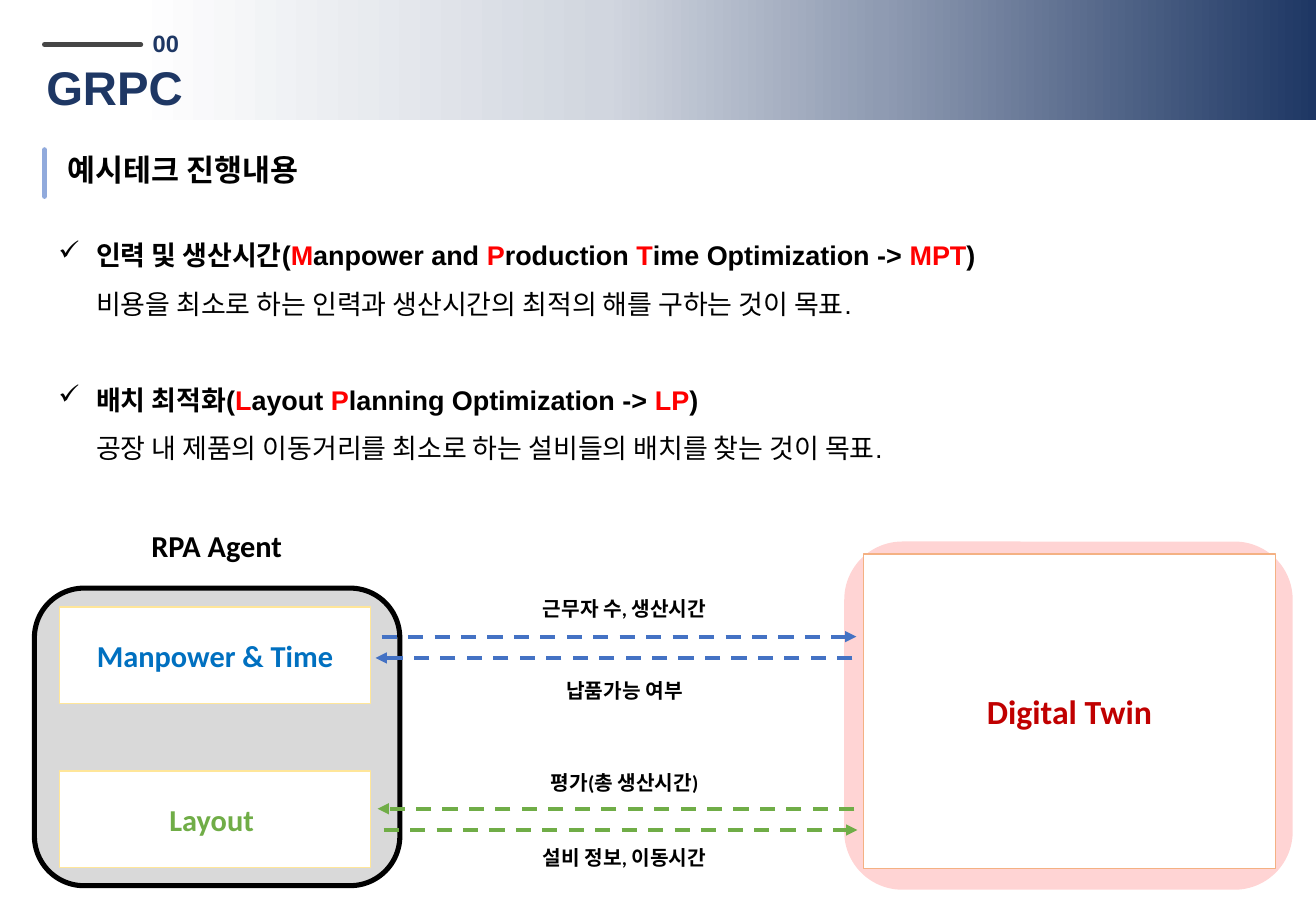
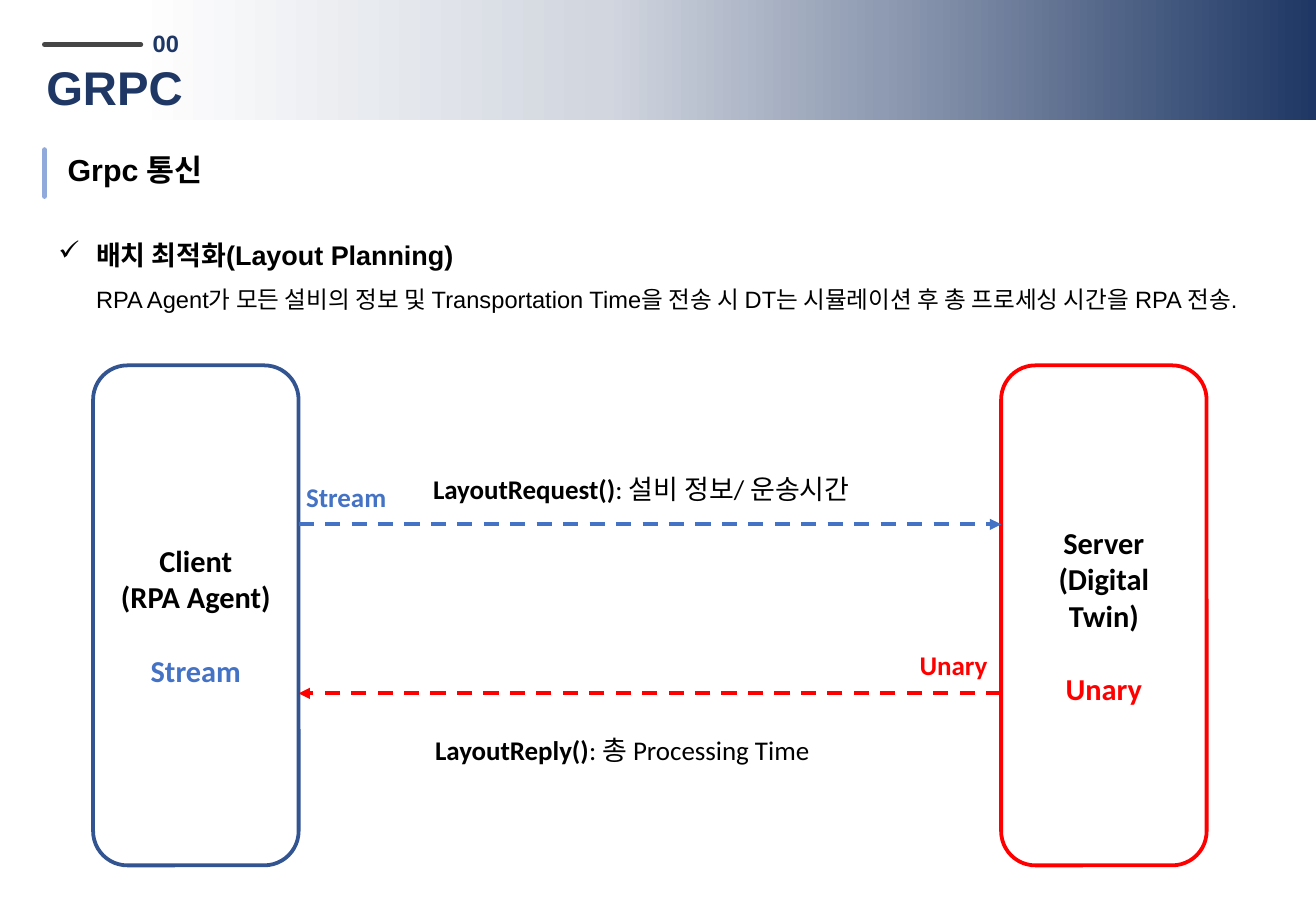
from lxml.etree import SubElement
from pptx import Presentation
from pptx.dml.color import RGBColor
from pptx.enum.dml import MSO_LINE_DASH_STYLE as Dash
from pptx.enum.shapes import MSO_AUTO_SHAPE_TYPE as Form, MSO_CONNECTOR_TYPE as Link
from pptx.enum.text import MSO_ANCHOR as Anchor, MSO_AUTO_SIZE as Fit, PP_ALIGN as Align
from pptx.oxml.ns import qn
from pptx.util import Inches, Pt

COLUMNS, ROWS = 130, 90
BLACK, WHITE, RED = "000000", "FFFFFF", "FF0000"
NAVY, BLUE, GREEN = "1E3764", "4472C4", "70AD47"
BAND_STOPS = [(0, NAVY), (33, "8F9BB2"), (54, "D1D6DF"), (90, WHITE)]


def rgb(code):
    return RGBColor.from_string(code)


class Board:
    """Holds the deck, its style and the current slide; lengths are grid cells."""

    def __init__(self):
        self.deck = Presentation()
        self.deck.slide_width, self.deck.slide_height = Inches(10.83), Inches(7.5)
        self.page = None

    def cells(self, x, y, *more):
        """Turn alternating columns and rows into slide lengths."""
        column, row = self.deck.slide_width / COLUMNS, self.deck.slide_height / ROWS
        return [round(n * (row if i % 2 else column)) for i, n in enumerate((x, y, *more))]

    def start(self, heading):
        """Add a slide with the shared band, title and heading."""
        self.page = self.deck.slides.add_slide(self.deck.slide_layouts[6])
        self.band()
        self.line((4.4, 4.4, 13.9, 4.4), "464646", 3)
        self.line((4.4, 14.8, 4.4, 19.4), "91AADC", 3)
        self.text((5.5, 14.3, 124.5, 4.8), heading, name="Arial", size=18)
        self.text((13.9, 2.3, 95, 4.1), "00", name="Arial", size=14, color=NAVY)
        self.text((3.4, 5.2, 105.7, 6.8), "GRPC", name="Arial", size=28, color=NAVY)

    def band(self):
        box = self.shape((0, 0, COLUMNS, 11.9))
        box.fill.gradient()
        box.fill.gradient_angle = 180
        stops = box._element.spPr.find(".//" + qn("a:gsLst"))
        for stop in list(stops):
            stops.remove(stop)
        for place, color in BAND_STOPS:
            stop = SubElement(stops, qn("a:gs"), pos=str(place * 1000))
            SubElement(stop, qn("a:srgbClr"), val=color)

    def add_spans(self, para, spans, **style):
        """Add runs; spans is a string or a list of (text, style changes)."""
        if isinstance(spans, str):
            spans = [(spans, {})]
        for words, changes in spans:
            look = {"name": "Calibri", "size": 18, "bold": True, "color": BLACK,
                    **style, **changes}
            span = para.add_run()
            span.text = words
            span.font.color.rgb = rgb(look.pop("color"))
            look["size"] = Pt(look["size"])
            for key, value in look.items():
                setattr(span.font, key, value)

    def text(self, area, spans=None, align=Align.LEFT, **style):
        box = self.page.shapes.add_textbox(*self.cells(*area))
        frame = box.text_frame
        frame.word_wrap, frame.auto_size = True, Fit.SHAPE_TO_FIT_TEXT
        if spans:
            frame.paragraphs[0].alignment = align
            self.add_spans(frame.paragraphs[0], spans, **style)
        return frame

    def topics(self, area, items, size=16):
        """Ticked topics (title, detail); odd parts of a title split at | are red."""
        frame = self.text(area)
        for index, (title, detail) in enumerate(items):
            para = frame.add_paragraph() if index else frame.paragraphs[0]
            para.line_spacing = 1.5
            para.space_before = Pt(28 if index else 0)
            spans = [(part, {"color": RED if i % 2 else BLACK})
                     for i, part in enumerate(title.split("|"))]
            self.add_spans(para, spans, name="Arial", size=16)
            para.add_line_break()
            self.add_spans(para, detail, name="Arial", size=size, bold=False)
            props = para._p.get_or_add_pPr()
            props.set("marL", str(Inches(0.31)))
            props.set("indent", str(-Inches(0.31)))
            SubElement(props, qn("a:buChar"), char="✓")

    def shape(self, area, form=Form.RECTANGLE, fill=None, line=None, width=1, alpha=None):
        box = self.page.shapes.add_shape(form, *self.cells(*area))
        box.shadow.inherit = False
        for part, color in ((box.fill, fill), (box.line.fill, line)):
            if color:
                part.solid()
                part.fore_color.rgb = rgb(color)
            else:
                part.background()
        if line:
            box.line.width = Pt(width)
        if alpha:
            tint = box._element.spPr.find(qn("a:solidFill")).find(qn("a:srgbClr"))
            SubElement(tint, qn("a:alpha"), val=str(alpha * 1000))
        return box

    def label(self, box, *rows):
        """Centre rows of (text, style, points above) in a shape."""
        frame = box.text_frame
        frame.word_wrap, frame.vertical_anchor = True, Anchor.MIDDLE
        for index, (words, style, above) in enumerate(rows):
            para = frame.add_paragraph() if index else frame.paragraphs[0]
            para.alignment, para.space_before = Align.CENTER, Pt(above)
            self.add_spans(para, words, **style)

    def line(self, ends, color, width):
        link = self.page.shapes.add_connector(Link.STRAIGHT, *self.cells(*ends))
        link.line.color.rgb, link.line.width = rgb(color), Pt(width)
        link.line._ln.set("cap", "rnd")
        SubElement(link._element.spPr, qn("a:effectLst"))
        return link

    def arrow(self, start, end, row, color):
        link = self.line((start, row, end, row), color, 2.25)
        link.line.dash_style = Dash.DASH
        link.line._ln.set("cap", "flat")
        SubElement(link.line._ln, qn("a:tailEnd"), type="triangle")


def overview(board):
    board.start("예시테크 진행내용")
    board.topics((4.6, 21.4, 121, 24.8), [
        ("인력 및 생산시간(|M|anpower and |P|roduction |T|ime Optimization -> |MPT|)",
         "비용을 최소로 하는 인력과 생산시간의 최적의 해를 구하는 것이 목표."),
        ("배치 최적화(|L|ayout |P|lanning Optimization -> |LP|)",
         "공장 내 제품의 이동거리를 최소로 하는 설비들의 배치를 찾는 것이 목표."),
    ])
    board.shape((83.4, 53.5, 44.3, 34.4), Form.ROUNDED_RECTANGLE, RED, alpha=17)
    twin = board.shape((85.3, 54.7, 40.7, 31.1), fill=WHITE, line="F4B183")
    board.label(twin, ("Digital Twin", {"size": 20, "color": "C00000"}, 0))
    board.shape((3.4, 58.1, 36.1, 29.4), Form.ROUNDED_RECTANGLE, "D9D9D9", BLACK, 3)
    board.text((9.1, 51.5, 24.6, 4.8), "RPA Agent", Align.CENTER)
    for row, words, color in ((60, "Manpower & Time", "0070C0"), (76.2, "Layout ", GREEN)):
        agent = board.shape((5.9, row, 30.7, 9.5), fill=WHITE, line="FFE699")
        board.label(agent, (words, {"color": color}, 0))
    for start, end, row, color in ((37.7, 84.6, 62.9, BLUE), (84.2, 37.1, 65, BLUE),
                                   (84.4, 37.3, 79.9, GREEN), (37.9, 84.7, 82, GREEN)):
        board.arrow(start, end, row, color)
    for row, words in ((58.3, "근무자 수, 생산시간"), (66.4, "납품가능 여부"),
                       (75.5, "평가(총 생산시간)"), (82.9, "설비 정보, 이동시간")):
        board.text((42.1, row, 39.2, 3.6), words, Align.CENTER, size=12)


def messages(board):
    board.start("Grpc 통신")
    board.topics((4.6, 21.4, 127.7, 14), [
        ("배치 최적화(Layout Planning)",
         "RPA Agent가 모든 설비의 정보 및 Transportation Time을 전송 시 "
         "DT는 시뮬레이션 후 총 프로세싱 시간을 RPA 전송."),
    ], size=14)
    client_right, server_left = 29.5, 98.9
    for left, outline, role, system, mode, color in (
            (9.2, "325491", "Client", "(RPA Agent)", "Stream", BLUE),
            (server_left, RED, "Server", "(Digital Twin)", "Unary", RED)):
        peer = board.shape((left, 36.1, 20.3, 49.4), Form.ROUNDED_RECTANGLE,
                           line=outline, width=2.25)
        board.label(peer, (role, {}, 0), (system, {}, 0), (mode, {"color": color}, 22))
    board.arrow(client_right, server_left, 51.8, BLUE)
    board.arrow(server_left, client_right, 68.5, RED)
    for column, row, call, content in (
            (41.6, 46.1, "LayoutRequest()", ": 설비 정보/ 운송시간"),
            (41.8, 71.9, "LayoutReply()", ": 총 Processing Time")):
        board.text((column, row, 46.3, 4.4), [(call, {}), (content, {"bold": False})], size=16)
    for column, row, mode, color in ((88.9, 63.5, "Unary", RED), (28.9, 46.9, "Stream", BLUE)):
        board.text((column, row, 10.6, 4.4), mode, Align.CENTER, size=16, color=color)


def main():
    board = Board()
    overview(board)
    messages(board)
    board.deck.save("out.pptx")


if __name__ == "__main__":
    main()
